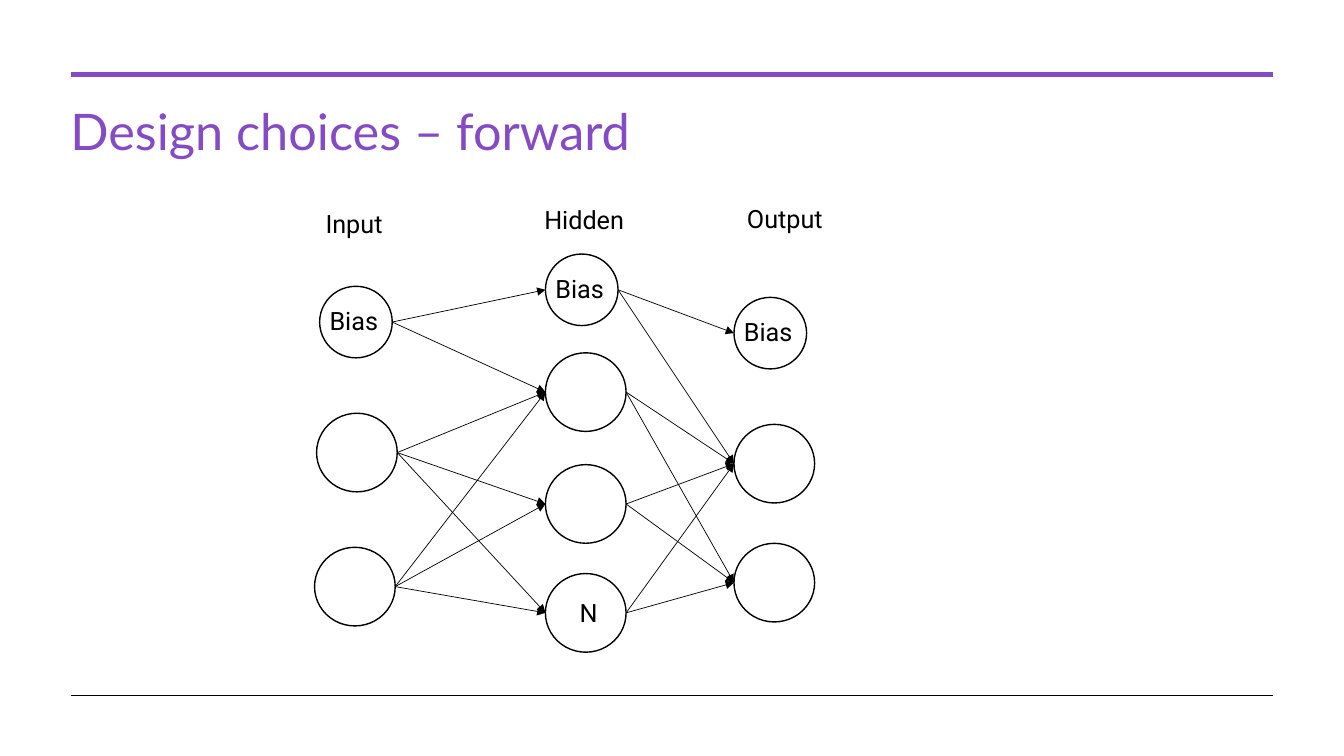
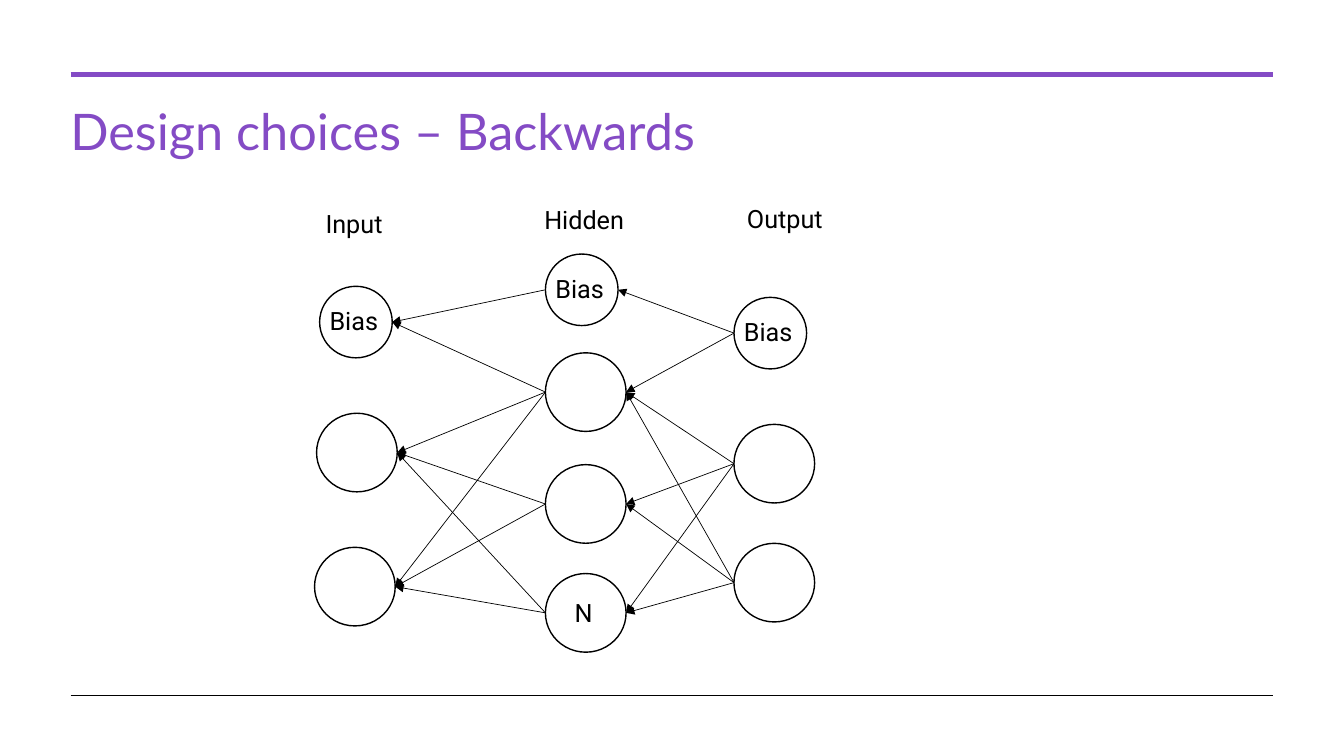
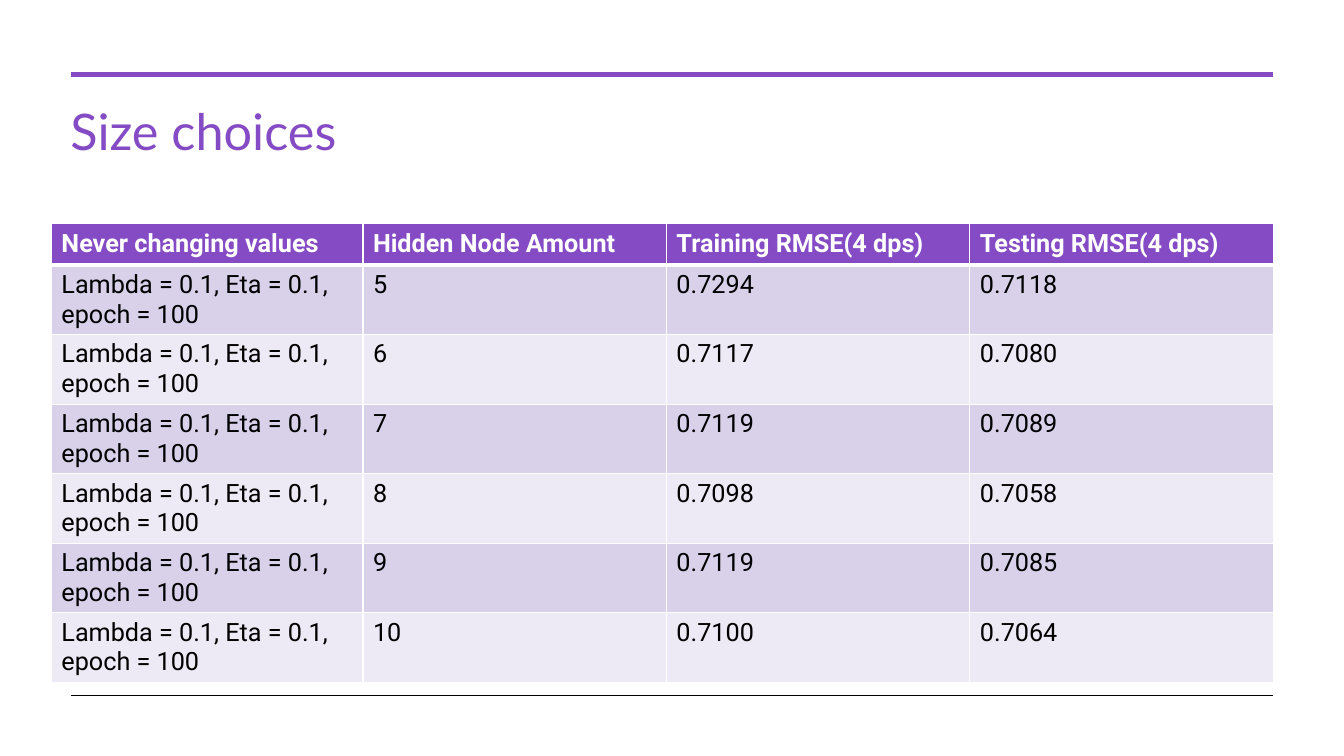
from itertools import product

from pptx import Presentation
from pptx.dml.color import RGBColor
from pptx.enum.shapes import MSO_CONNECTOR as CONN, MSO_SHAPE as SHAPE
from pptx.enum.text import MSO_ANCHOR as ANCHOR, MSO_AUTO_SIZE as AUTO
from pptx.oxml.ns import qn
from pptx.util import Emu, Pt
from lxml.etree import SubElement

PX = 9144  # 100 px to the inch
WIDTH, HEIGHT = 1333, 750

PURPLE = RGBColor(0x84, 0x4B, 0xC5)
BAND_DARK = RGBColor(0xD9, 0xD0, 0xEA)
BAND_LIGHT = RGBColor(0xED, 0xE9, 0xF5)
BLACK = RGBColor(0, 0, 0)
WHITE = RGBColor(0xFF, 0xFF, 0xFF)

TITLE = {"name": "Lato", "size": Pt(36)}
BODY = {"name": "Roboto", "size": Pt(18), "bold": False}
HEAD = BODY | {"bold": True}

# Positions below are relative to the network's box.
BIAS_SIZE, NODE_SIZE = (72, 71), (80, 78)
LABELS = [("Input", 3, 7, 78), ("Hidden", 220, 3, 100), ("Output", 421, 2, 99)]
LAYERS = {  # the first node of each layer is its bias
    "input": [(7, 89), (4, 215), (2, 348)],
    "hidden": [(231, 57), (231, 155), (231, 266), (231, 374)],
    "output": [(418, 100), (418, 226), (418, 344)],
}
INPUT_LINKS = [(0, 0), (0, 1), *product((1, 2), (1, 2, 3))]
OUTPUT_LINKS = [(0, 0), *product((1, 2, 3), (1, 2))]

SIZE_HEADS = ["Never changing values", "Hidden Node Amount",
              "Training RMSE(4 dps)", "Testing RMSE(4 dps)"]
FIXED_VALUES = "Lambda = 0.1, Eta = 0.1, epoch = 100"
SIZE_RESULTS = [
    ("5", "0.7294", "0.7118"),
    ("6", "0.7117", "0.7080"),
    ("7", "0.7119", "0.7089"),
    ("8", "0.7098", "0.7058"),
    ("9", "0.7119", "0.7085"),
    ("10", "0.7100", "0.7064"),
]


def px(*lengths):
    return [Emu(round(n * PX)) for n in lengths]


def write(tf, text, fmt, color):
    p = tf.paragraphs[0]
    r = p.add_run()
    r.text = text
    for key, value in fmt.items():
        setattr(r.font, key, value)
    r.font.color.rgb = color
    return p


def add_text(s, box, text, fmt=BODY, color=BLACK, wrap=True, auto=AUTO.SHAPE_TO_FIT_TEXT):
    tf = s.shapes.add_textbox(*px(*box)).text_frame
    for key, value in {"word_wrap": wrap, "auto_size": auto,
                       "vertical_anchor": ANCHOR.TOP}.items():
        setattr(tf, key, value)
    return write(tf, text, fmt, color)


def add_line(s, start, end, color=BLACK, width=0.5, arrow=False):
    line = s.shapes.add_connector(CONN.STRAIGHT, *px(*start, *end))
    line.line.color.rgb = color
    line.line.width = Pt(width)
    if arrow:
        SubElement(line.line._get_or_add_ln(), qn("a:tailEnd"), type="triangle")
    SubElement(line._element.spPr, qn("a:effectLst"))


def add_circle(s, box):
    sp = s.shapes.add_shape(SHAPE.OVAL, *px(*box))
    sp.shadow.inherit = False
    sp.fill.solid()
    sp.fill.fore_color.rgb = WHITE
    sp.line.color.rgb = BLACK
    sp.line.width = Pt(1)


def add_titled_slide(prs, title):
    """Add a slide with the shared title and the two rules."""
    s = prs.slides.add_slide(prs.slide_layouts[6])
    add_line(s, (70, 74), (1263, 74), PURPLE, 3)
    add_line(s, (70, 690), (1263, 690))
    p = add_text(s, (60, 104, 1202, 118), title, TITLE, PURPLE, auto=AUTO.NONE)
    p.line_spacing = 0.85
    return s


def add_network(s, x, y, bias_link, count_dx, backwards=False):
    """Draw the three layers; bias_link is the extra hidden-to-output link."""
    nodes = {}
    for layer, places in LAYERS.items():
        for i, (dx, dy) in enumerate(places):
            w, h = NODE_SIZE if i else BIAS_SIZE
            left, top = x + dx, y + dy
            nodes[layer, i] = left, top, w, h
            add_circle(s, nodes[layer, i])
            if i == 0:
                add_text(s, (left, top + 14, w, 40), "Bias")
    for text, dx, dy, w in LABELS:
        add_text(s, (x + dx, y + dy, w, 40), text, wrap=False)
    left, top, *_ = nodes["hidden", 3]
    add_text(s, (left + count_dx, top + 19, 41, 40), "N")

    links = [(("input", a), ("hidden", b)) for a, b in INPUT_LINKS]
    links += [(("hidden", a), ("output", b)) for a, b in [bias_link, *OUTPUT_LINKS]]
    for source, target in links:
        left, top, w, h = nodes[source]
        ends = [(left + w, top + h / 2)]
        left, top, w, h = nodes[target]
        ends.append((left, top + h / 2))
        if backwards:
            ends.reverse()
        add_line(s, *ends, arrow=True)


def style_cell(cell, text, fmt, color, fill, borders):
    tcPr = cell._tc.get_or_add_tcPr()
    for side, width in borders.items():
        ln = SubElement(tcPr, qn(f"a:ln{side}"), w=str(Pt(width)))
        SubElement(SubElement(ln, qn("a:solidFill")), qn("a:srgbClr"), val=str(WHITE))
    cell.fill.solid()
    cell.fill.fore_color.rgb = fill
    write(cell.text_frame, text, fmt, color)


def add_size_table(s, x, y):
    rows = [SIZE_HEADS, *([FIXED_VALUES, *result] for result in SIZE_RESULTS)]
    widths = [309, 301, 301, 301]
    heights = [41] + [69] * len(SIZE_RESULTS)
    box = px(x, y, sum(widths), sum(heights))
    table = s.shapes.add_table(len(rows), len(widths), *box).table
    for column, width in zip(table.columns, px(*widths)):
        column.width = width
    for row, height in zip(table.rows, px(*heights)):
        row.height = height
    for i, texts in enumerate(rows):
        fmt, color, fill = BODY, BLACK, BAND_DARK if i % 2 else BAND_LIGHT
        if i == 0:
            fmt, color, fill = HEAD, WHITE, PURPLE
        borders = {"L": 1, "R": 1, "T": 3 if i == 1 else 1, "B": 3 if i == 0 else 1}
        for j, text in enumerate(texts):
            style_cell(table.cell(i, j), text, fmt, color, fill, borders)


def main():
    prs = Presentation()
    prs.slide_width, prs.slide_height = px(WIDTH, HEIGHT)

    s = add_titled_slide(prs, "Design choices – forward")
    add_network(s, 310, 195, bias_link=(0, 1), count_dx=24)

    s = add_titled_slide(prs, "Design choices – Backwards")
    add_network(s, 310, 195, bias_link=(1, 0), count_dx=19, backwards=True)

    s = add_titled_slide(prs, "Size choices")
    add_size_table(s, 51, 222)

    prs.save("out.pptx")


if __name__ == "__main__":
    main()
